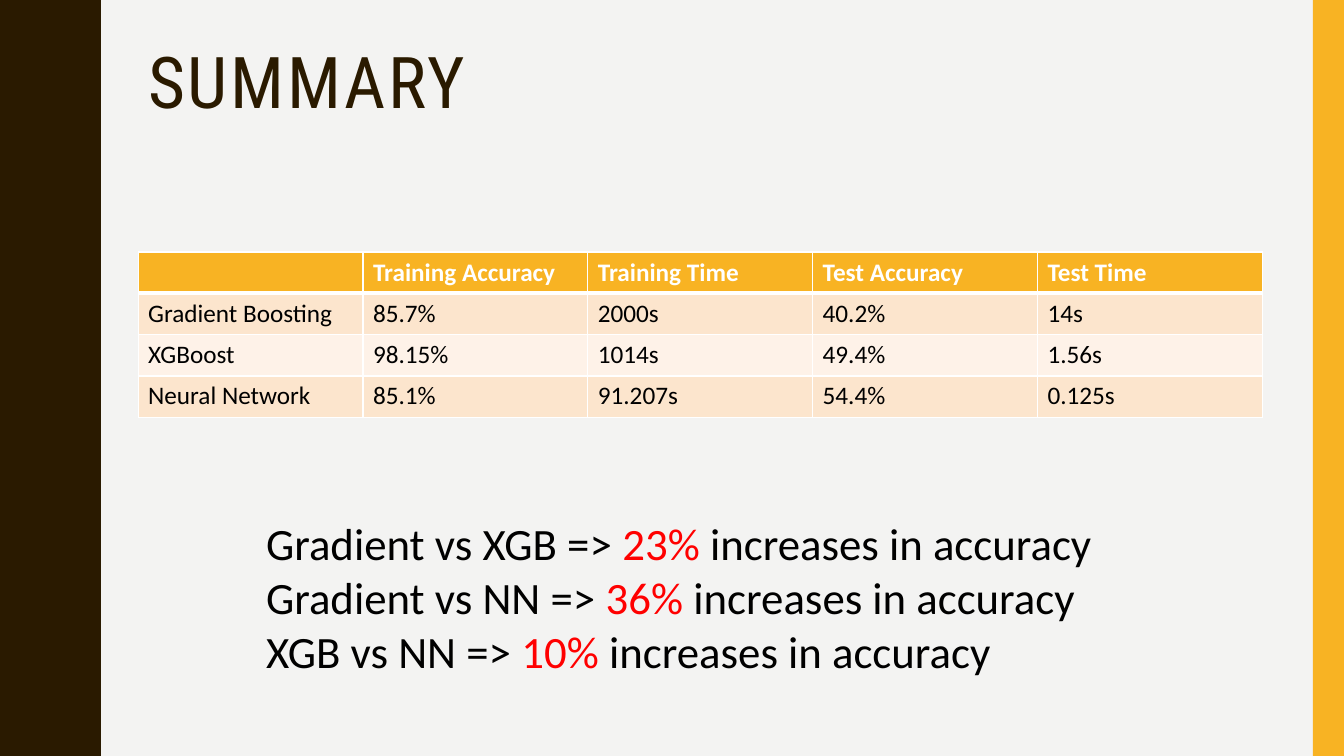
import dataclasses

import lxml.etree
import pptx
import pptx.dml.color
import pptx.oxml.ns
import pptx.enum.shapes
import pptx.util

Inches = pptx.util.Inches


@dataclasses.dataclass(frozen=True)
class Theme:
    background: str = "F3F3F2"
    dark: str = "2A1A00"
    accent: str = "F8B323"
    band: str = "FCE5CD"
    pale_band: str = "FEF2E8"
    white: str = "FFFFFF"
    black: str = "000000"
    highlight: str = "FF0000"
    title_font: str = "Roboto Condensed"
    body_font: str = "Calibri"
    title_size: int = 51
    table_size: int = 18
    body_size: int = 32


HALF_WAVE = [
    (0.78, 0), (0.78, 0.07), (0.79, 0.14), (0.8, 0.2), (0.81, 0.25),
    (0.83, 0.29), (0.85, 0.33), (0.87, 0.38), (0.89, 0.42), (0.91, 0.46),
    (0.93, 0.5), (0.95, 0.55), (0.96, 0.61), (0.97, 0.68), (0.97, 0.75),
]
WAVE_PERIOD = 1.5
WAVE_COUNT = 5

RESULTS = [
    ["", "Training Accuracy", "Training Time", "Test Accuracy", "Test Time"],
    ["Gradient Boosting", "85.7%", "2000s", "40.2%", "14s"],
    ["XGBoost", "98.15%", "1014s", "49.4%", "1.56s"],
    ["Neural Network", "85.1%", "91.207s", "54.4%", "0.125s"],
]
GAINS = [("Gradient vs XGB", "23%"), ("Gradient vs NN", "36%"), ("XGB vs NN", "10%")]


def rgb(color):
    return pptx.dml.color.RGBColor.from_string(color)


class SlideBuilder:
    def __init__(self, s, theme):
        self.s = s
        self.theme = theme
        self.fill(s.background, theme.background)

    def fill(self, target, color):
        target.fill.solid()
        target.fill.fore_color.rgb = rgb(color)

    def paint(self, sp, color):
        self.fill(sp, color)
        sp.line.fill.background()
        sp.shadow.inherit = False

    def wave(self, color):
        period = HALF_WAVE + [(x, WAVE_PERIOD - y) for x, y in HALF_WAVE[-2::-1]]
        edge = [(x, y + i * WAVE_PERIOD) for i in range(WAVE_COUNT) for x, y in period]
        points = edge + [(0, WAVE_COUNT * WAVE_PERIOD)]
        outline = self.s.shapes.build_freeform(0, 0, scale=Inches(1))
        outline.add_line_segments(points, close=True)
        self.paint(outline.convert_to_shape(), color)

    def bar(self, box, color):
        kind = pptx.enum.shapes.MSO_SHAPE.RECTANGLE
        self.paint(self.s.shapes.add_shape(kind, *map(Inches, box)), color)

    def run(self, p, text, color, **formats):
        r = p.add_run()
        r.text = text
        r.font.color.rgb = rgb(color)
        for name, value in formats.items():
            setattr(r.font, name, value)
        return r

    def text_box(self, box):
        tf = self.s.shapes.add_textbox(*map(Inches, box)).text_frame
        tf.word_wrap = True
        return tf

    def title(self, box, text):
        p = self.text_box(box).paragraphs[0]
        p.line_spacing = 0.9
        r = self.run(p, text, self.theme.dark, name=self.theme.title_font,
                     size=pptx.util.Pt(self.theme.title_size))
        r._r.get_or_add_rPr().set("spc", "200")

    def gains(self, box, rows):
        theme = self.theme
        tf = self.text_box(box)
        formats = {"name": theme.body_font, "size": pptx.util.Pt(theme.body_size)}
        for i, (pair, gain) in enumerate(rows):
            p = tf.add_paragraph() if i else tf.paragraphs[0]
            self.run(p, f"{pair} => ", theme.black, **formats)
            self.run(p, gain, theme.highlight, **formats)
            self.run(p, " increases in accuracy", theme.black, **formats)

    def borders(self, cell, widths):
        tc_pr = cell._tc.get_or_add_tcPr()
        qn = pptx.oxml.ns.qn
        for side, width in widths.items():
            ln = lxml.etree.SubElement(tc_pr, qn(f"a:ln{side}"), w=str(pptx.util.Pt(width)))
            solid = lxml.etree.SubElement(ln, qn("a:solidFill"))
            lxml.etree.SubElement(solid, qn("a:srgbClr"), val=self.theme.white)

    def table(self, left, top, col_width, row_height, rows):
        theme = self.theme
        size = (col_width * len(rows[0]), row_height * len(rows))
        table = self.s.shapes.add_table(
            len(rows), len(rows[0]), *map(Inches, (left, top, *size))).table
        for column in table.columns:
            column.width = Inches(col_width)
        for i, values in enumerate(rows):
            table.rows[i].height = Inches(row_height)
            header = i == 0
            color = theme.accent if header else theme.band if i % 2 else theme.pale_band
            widths = {"L": 1, "R": 1, "T": 3 if i == 1 else 1, "B": 3 if header else 1}
            for j, value in enumerate(values):
                cell = table.cell(i, j)
                self.borders(cell, widths)
                self.fill(cell, color)
                p = cell.text_frame.paragraphs[0]
                p.font.size = pptx.util.Pt(theme.table_size)
                if value:
                    self.run(p, value, theme.white if header else theme.black,
                             name=theme.body_font, bold=header,
                             size=pptx.util.Pt(theme.table_size))


def main():
    prs = pptx.Presentation()
    prs.slide_width = Inches(13.33)
    prs.slide_height = Inches(7.5)
    theme = Theme()
    builder = SlideBuilder(prs.slides.add_slide(prs.slide_layouts[6]), theme)
    builder.wave(theme.dark)
    builder.bar((13.02, 0, 0.31, 7.5), theme.accent)
    builder.title((1.37, 0.42, 11.13, 1.63), "SUMMARY")
    builder.table(1.37, 2.5, 2.23, 0.41, RESULTS)
    builder.gains((2.54, 5.07, 8.79, 2.26), GAINS)
    prs.save("out.pptx")


if __name__ == "__main__":
    main()
